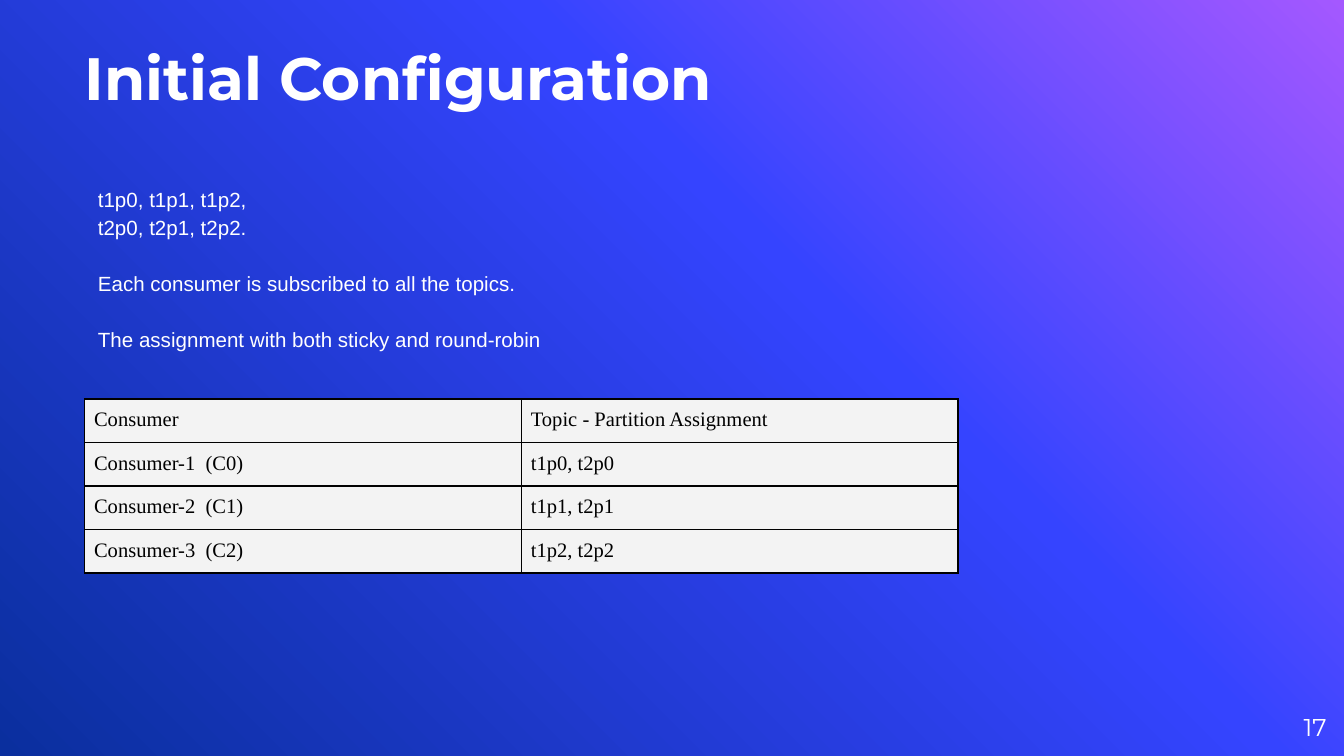
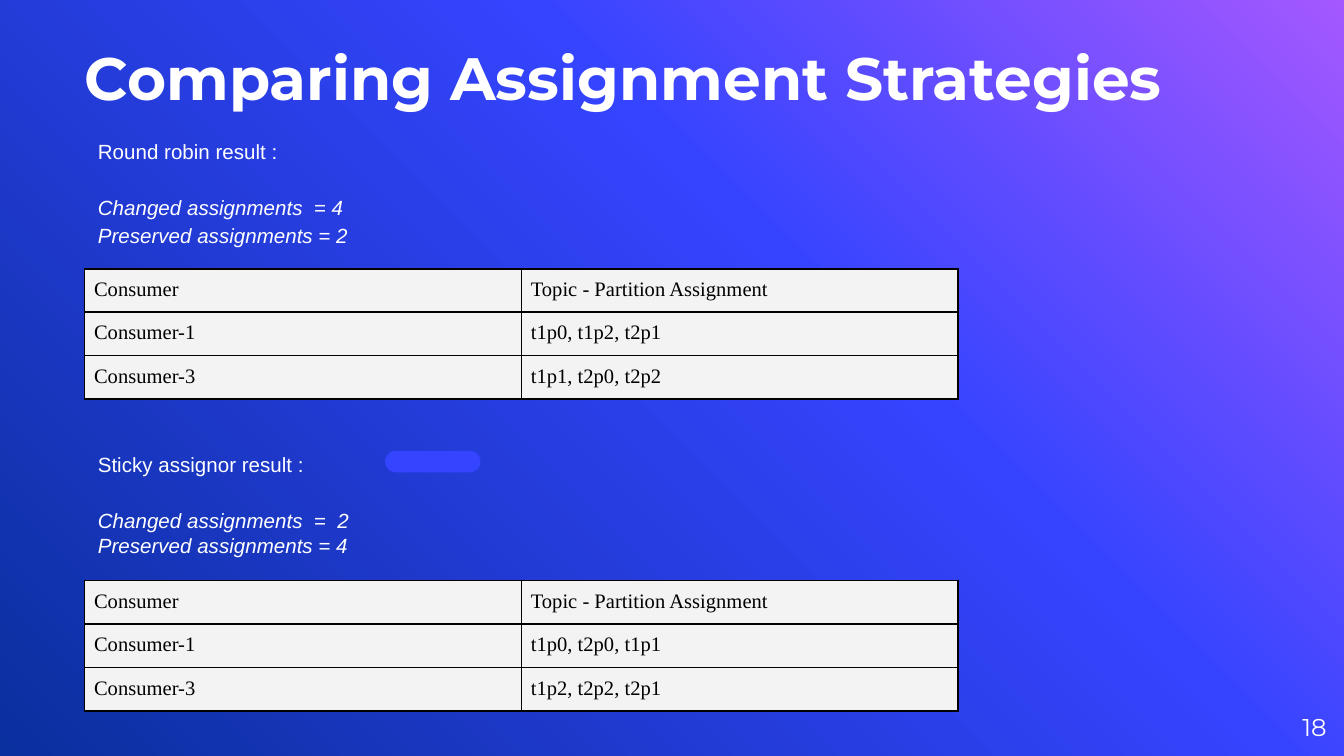
from copy import deepcopy

from pptx import Presentation
from pptx.dml.color import RGBColor
from pptx.enum import shapes, text
from pptx.oxml import ns, parse_xml
from pptx.util import Inches, Pt

SLIDE_WIDTH = 10
SLIDE_HEIGHT = SLIDE_WIDTH * 9 / 16
WHITE, BLACK, BLUE, PALE = "FFFFFF", "000000", "3544FF", "F3F3F3"
BACKGROUND_STOPS = [(0, "A458FF"), (0.39, BLUE), (1, "0A2F9E")]
TITLE_FONT, BODY_FONT, TABLE_FONT = "Montserrat", "Arial", "Times New Roman"
LEFT = 0.63
COLUMN_WIDTH, ROW_HEIGHT = 3.25, 0.3
BLANK_LINE = Pt(15)
HEADER = ("Consumer", "Topic - Partition Assignment")


def color(hex_string):
    return RGBColor.from_string(hex_string)


def style(paragraph, font, size, hex_color, bold=None, italic=None):
    paragraph.font.name = font
    paragraph.font.size = Pt(size)
    paragraph.font.color.rgb = color(hex_color)
    paragraph.font.bold = bold
    paragraph.font.italic = italic


def style_paragraph_end(paragraph, font, size):
    """Give the paragraph mark the text's font, so that rows keep its height."""
    end = paragraph._p.get_or_add_endParaRPr()
    end.set("sz", str(size * 100))
    end.append(parse_xml(f'<a:latin {ns.nsdecls("a")} typeface="{font}"/>'))


def set_insets(frame, left, top, right, bottom):
    frame.margin_left, frame.margin_top = Inches(left), Inches(top)
    frame.margin_right, frame.margin_bottom = Inches(right), Inches(bottom)


def add_text_frame(slide, left, top, width, height, anchor, insets=(0, 0, 0, 0)):
    box = slide.shapes.add_textbox(
        Inches(left), Inches(top), Inches(width), Inches(height))
    frame = box.text_frame
    frame.word_wrap = True
    frame.vertical_anchor = anchor
    set_insets(frame, *insets)
    return frame


def set_background(slide):
    fill = slide.background.fill
    fill.gradient()
    fill.gradient_angle = 225
    stop_list = next(slide.element.iter(ns.qn("a:gsLst")))
    stop_list.append(deepcopy(stop_list[0]))
    for stop, (position, hex_color) in zip(fill.gradient_stops, BACKGROUND_STOPS):
        stop.position = position
        stop.color.rgb = color(hex_color)


def add_base_slide(presentation, title, number):
    """Add a slide with the shared background, title and page number."""
    slide = presentation.slides.add_slide(presentation.slide_layouts[6])
    set_background(slide)

    frame = add_text_frame(slide, 9.27, 5.19, 0.6, 0.43, text.MSO_ANCHOR.MIDDLE)
    paragraph = frame.paragraphs[0]
    paragraph.text = str(number)
    paragraph.alignment = text.PP_ALIGN.RIGHT
    style(paragraph, TITLE_FONT, 13, WHITE)

    frame = add_text_frame(slide, LEFT, 0.23, 8.48, 0.61, text.MSO_ANCHOR.BOTTOM)
    frame.text = title
    style(frame.paragraphs[0], TITLE_FONT, 32, WHITE, bold=True)
    return slide


def add_body(slide, top, width, height, groups, bottom_inset=0.1):
    """Add groups of (lines, italic), one blank line apart."""
    frame = add_text_frame(slide, LEFT, top, width, height,
                           text.MSO_ANCHOR.MIDDLE, (0.1, 0.1, 0.1, bottom_inset))
    paragraph = frame.paragraphs[0]
    for group_index, (lines, italic) in enumerate(groups):
        for line_index, line in enumerate(lines):
            if group_index or line_index:
                paragraph = frame.add_paragraph()
            paragraph.text = line
            paragraph.line_spacing = 1.15
            if group_index and not line_index:
                paragraph.space_before = BLANK_LINE
            style(paragraph, BODY_FONT, 11, WHITE, italic=italic)
    return frame


def set_borders(cell):
    properties = cell._tc.get_or_add_tcPr()
    for index, side in enumerate(("lnL", "lnR", "lnT", "lnB")):
        properties.insert(index, parse_xml(
            f'<a:{side} {ns.nsdecls("a")} w="{Pt(1)}"><a:solidFill>'
            f'<a:srgbClr val="{BLACK}"/></a:solidFill></a:{side}>'))


def add_assignment_table(slide, top, assignments):
    rows = [HEADER, *assignments]
    table = slide.shapes.add_table(
        len(rows), len(HEADER), Inches(LEFT), Inches(top),
        Inches(COLUMN_WIDTH * len(HEADER)), Inches(ROW_HEIGHT * len(rows))).table
    table.first_row = table.horz_banding = False
    for row_index, row in enumerate(rows):
        for column_index, value in enumerate(row):
            cell = table.cell(row_index, column_index)
            cell.text = value
            cell.fill.solid()
            cell.fill.fore_color.rgb = color(PALE)
            set_insets(cell, 0.07, 0.07, 0.07, 0.07)
            paragraph = cell.text_frame.paragraphs[0]
            style(paragraph, TABLE_FONT, 11, BLACK)
            style_paragraph_end(paragraph, TABLE_FONT, 11)
            set_borders(cell)


def add_pill(slide, left, top, width, height):
    pill = slide.shapes.add_shape(
        shapes.MSO_SHAPE.ROUND_2_SAME_RECTANGLE,
        Inches(left), Inches(top), Inches(width), Inches(height))
    pill.rotation = 90
    pill.adjustments[0] = pill.adjustments[1] = 0.5
    pill.shadow.inherit = False
    pill.fill.solid()
    pill.fill.fore_color.rgb = color(BLUE)
    pill.line.fill.background()


def build_configuration(presentation):
    slide = add_base_slide(presentation, "Initial Configuration", 17)
    add_assignment_table(slide, 2.97, [
        ("Consumer-1  (C0)", "t1p0, t2p0"),
        ("Consumer-2  (C1)", "t1p1, t2p1"),
        ("Consumer-3  (C2)", "t1p2, t2p2"),
    ])
    add_body(slide, 1.35, 5.69, 1.49, [
        (["t1p0, t1p1, t1p2,", "t2p0, t2p1, t2p2."], None),
        (["Each consumer is subscribed to all the topics."], None),
        (["The assignment with both sticky and round-robin"], None),
    ], bottom_inset=0.31)


def build_comparison(presentation):
    slide = add_base_slide(presentation, "Comparing Assignment Strategies", 18)
    add_pill(slide, 3.14, 3.08, 0.16, 0.71)

    add_assignment_table(slide, 2, [
        ("Consumer-1", "t1p0, t1p2, t2p1"),
        ("Consumer-3", "t1p1, t2p0, t2p2"),
    ])
    add_body(slide, 1.06, 3.28, 1.09, [
        (["Round robin result :"], None),
        (["Changed assignments  = 4", "Preserved assignments = 2"], True),
    ], bottom_inset=0.46)

    add_assignment_table(slide, 4.32, [
        ("Consumer-1", "t1p0, t2p0, t1p1"),
        ("Consumer-3", "t1p2, t2p2, t2p1"),
    ])
    frame = add_body(slide, 3.16, 3.28, 1.16, [
        (["Sticky assignor result :"], None),
        (["Changed assignments  =  2", "Preserved assignments = 4"], True),
    ])
    frame.paragraphs[-1].line_spacing = 1.0


def main():
    presentation = Presentation()
    presentation.slide_width = Inches(SLIDE_WIDTH)
    presentation.slide_height = Inches(SLIDE_HEIGHT)
    build_configuration(presentation)
    build_comparison(presentation)
    presentation.save("out.pptx")


if __name__ == "__main__":
    main()
